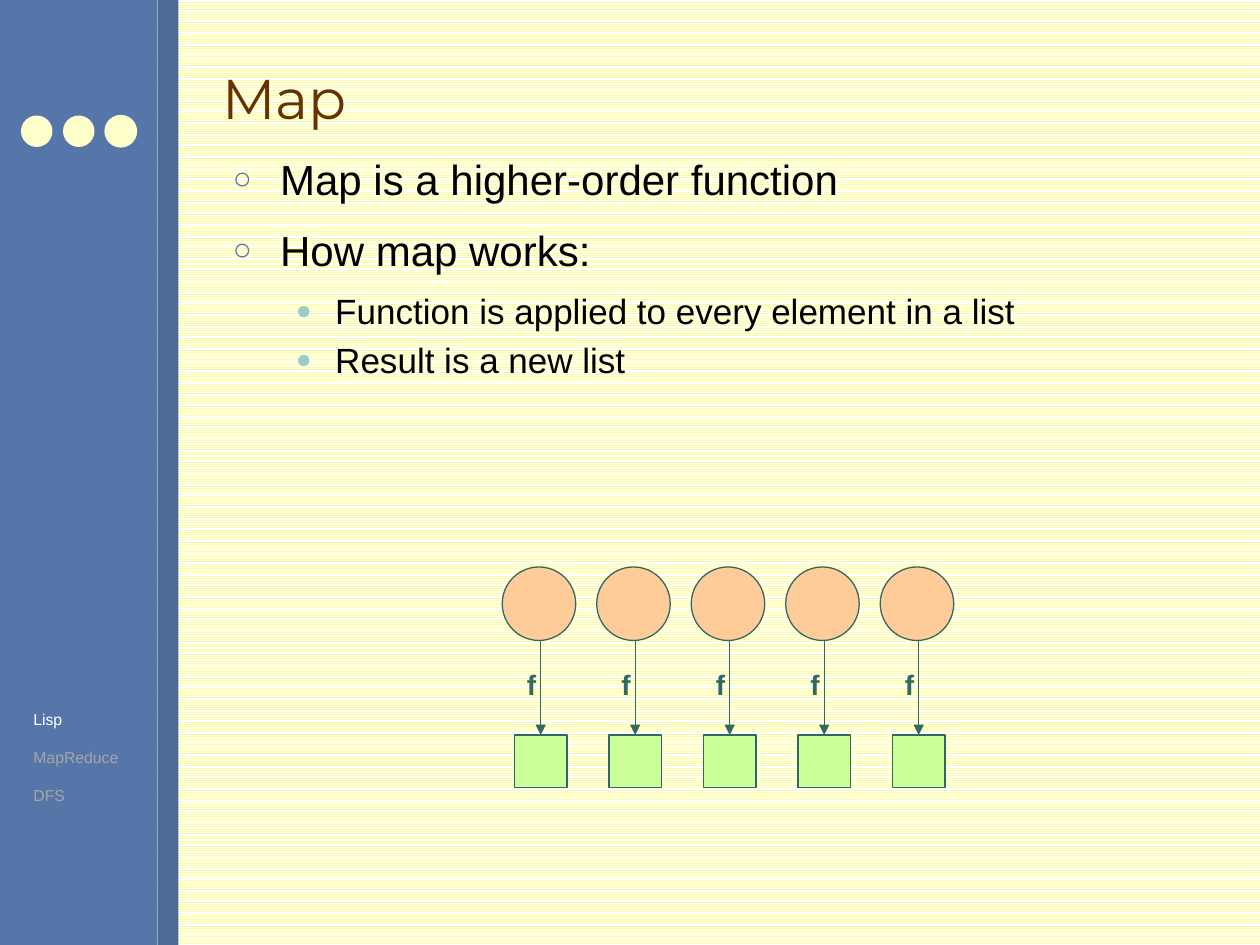
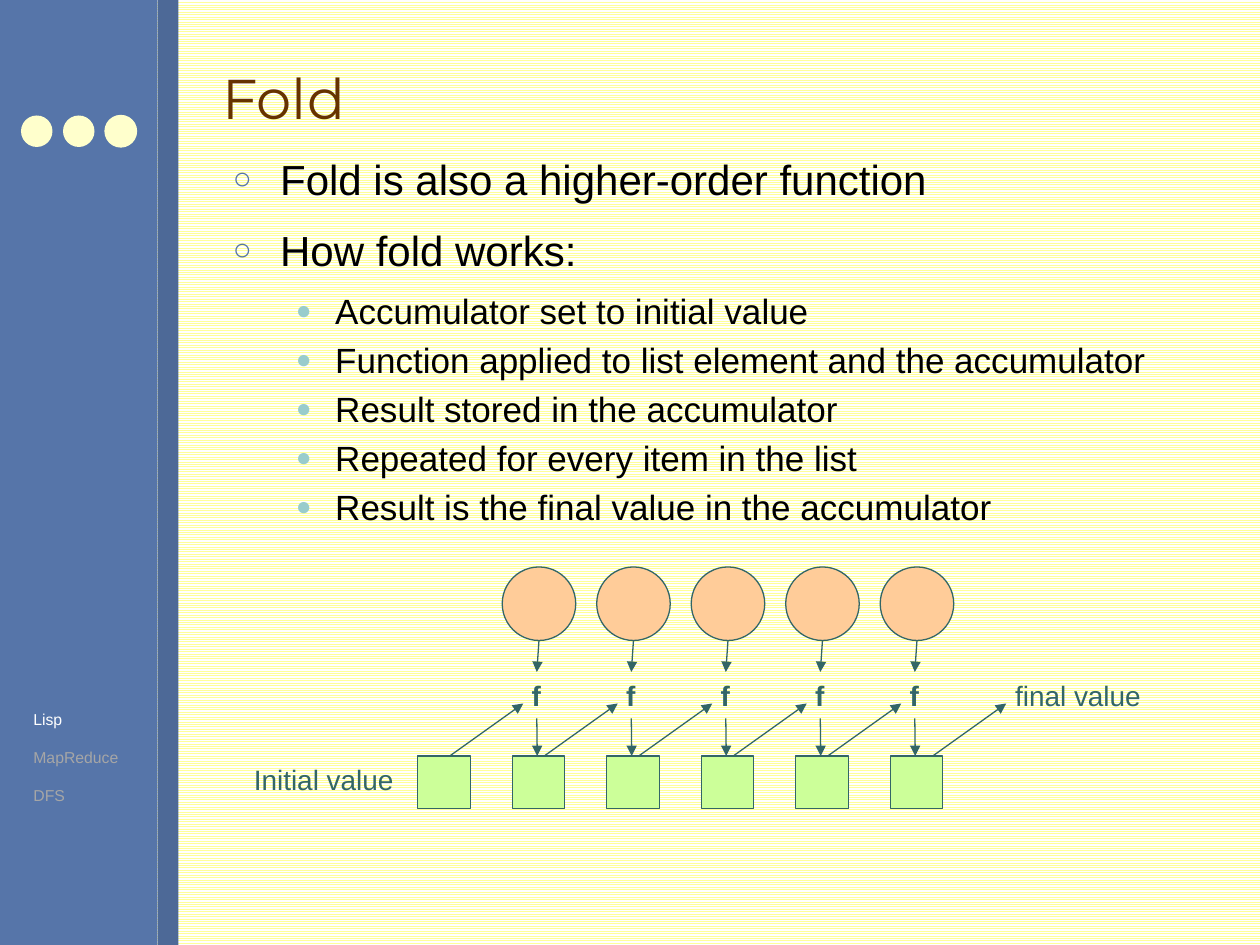
"""Builds two slides on the higher-order functions map and fold."""
from dataclasses import dataclass

from lxml.etree import SubElement
from pptx import Presentation
from pptx.dml.color import RGBColor
from pptx.enum.dml import MSO_PATTERN
from pptx.enum.shapes import MSO_CONNECTOR, MSO_SHAPE as Preset
from pptx.enum.text import MSO_ANCHOR
from pptx.oxml.ns import qn
from pptx.util import Pt

rgb = RGBColor.from_string


@dataclass(frozen=True)
class Theme:
    stripe = rgb("FFFF99")
    paper = rgb("FFFFFF")
    band = rgb("5675A9")
    band_edge = rgb("4D6997")
    dot = rgb("FFFFCC")
    title = rgb("663300")
    body = rgb("000000")
    ink = rgb("336666")
    element = rgb("FFCC99")
    value = rgb("CCFF99")
    active = rgb("FFFFFF")
    inactive = rgb("A6A6A6")
    title_font = "Montserrat"
    body_font = "Arial"
    title_size = 32
    label_size = 16
    section_size = 9
    hairline = 0.75
    bullet_percent = "75000"
    levels = (
        dict(size=24, margin=27, hang=27, gap=6, bullet="○", color="5675A9"),
        dict(size=20, margin=58.5, hang=22.5, gap=2, bullet="●", color="99CCCC"),
    )


SECTIONS = ("Lisp", "MapReduce", "DFS")
COLUMNS = range(5)
STEP = 54
CIRCLE_LEFT, CIRCLE_TOP, CIRCLE_SIZE = 287, 324, 42
SQUARE_SIZE = 30
LABEL_HEIGHT = 26.5


class Deck:
    def __init__(self, theme):
        self.theme = theme
        self.presentation = Presentation()
        self.presentation.slide_width = Pt(720)
        self.presentation.slide_height = Pt(540)
        self.slide = None

    def new_slide(self, title, points):
        theme = self.theme
        self.slide = self.presentation.slides.add_slide(
            self.presentation.slide_layouts[6])
        background = self.slide.background.fill
        background.patterned()
        background.pattern = MSO_PATTERN.LIGHT_HORIZONTAL
        background.fore_color.rgb = theme.stripe
        background.back_color.rgb = theme.paper

        self.shape(Preset.RECTANGLE, 0, 0, 90, 540, theme.band)
        self.shape(Preset.RECTANGLE, 90, 0, 12, 540, theme.band_edge)
        for index, outline in enumerate((None, None, theme.dot)):
            self.shape(Preset.OVAL, 12 + 24 * index, 66, 18, 18, theme.dot, outline)

        heading = self.text([title], 120, 15, 576, 81, theme.title_size,
                            theme.title, font=theme.title_font, wrap=True)
        heading.vertical_anchor = MSO_ANCHOR.MIDDLE
        self.bullets(points)
        self.sections(SECTIONS[0])

    def shape(self, preset, left, top, width, height, fill, outline=None):
        shape = self.slide.shapes.add_shape(
            preset, Pt(left), Pt(top), Pt(width), Pt(height))
        shape.shadow.inherit = False
        shape.fill.solid()
        shape.fill.fore_color.rgb = fill
        if outline is None:
            shape.line.fill.background()
        else:
            shape.line.color.rgb = outline
            shape.line.width = Pt(self.theme.hairline)

    def text(self, lines, left, top, width, height, size, color,
             bold=False, font=None, wrap=False):
        frame = self.slide.shapes.add_textbox(
            Pt(left), Pt(top), Pt(width), Pt(height)).text_frame
        frame.word_wrap = wrap
        frame.text = "\n".join(lines)
        for paragraph in frame.paragraphs:
            style = paragraph.runs[0].font
            style.name = font or self.theme.body_font
            style.size = Pt(size)
            style.bold = bold
            style.color.rgb = color
        return frame

    def bullets(self, points):
        levels = self.theme.levels
        frame = self.text([words for _, words in points], 126, 84, 570, 414,
                          levels[0]["size"], self.theme.body, wrap=True)
        for index, (paragraph, (level, _)) in enumerate(zip(frame.paragraphs, points)):
            look = levels[level]
            paragraph.level = level
            paragraph.runs[0].font.size = Pt(look["size"])
            paragraph.space_before = Pt(look["gap"] if index else 0)
            paragraph.space_after = Pt(look["gap"])
            properties = paragraph._p.get_or_add_pPr()
            properties.set("marL", str(Pt(look["margin"])))
            properties.set("indent", str(-Pt(look["hang"])))
            tint = SubElement(properties, qn("a:buClr"))
            SubElement(tint, qn("a:srgbClr"), val=look["color"])
            SubElement(properties, qn("a:buSzPct"), val=self.theme.bullet_percent)
            SubElement(properties, qn("a:buFont"), typeface=self.theme.body_font)
            SubElement(properties, qn("a:buChar"), char=look["bullet"])

    def sections(self, current):
        theme = self.theme
        frame = self.text(SECTIONS, 12, 402, 63, 62, theme.section_size, theme.inactive)
        for paragraph in frame.paragraphs:
            if paragraph.text == current:
                paragraph.runs[0].font.color.rgb = theme.active
            else:
                paragraph.space_before = Pt(10.8)

    def arrow(self, x1, y1, x2, y2):
        arrow = self.slide.shapes.add_connector(
            MSO_CONNECTOR.STRAIGHT, Pt(x1), Pt(y1), Pt(x2), Pt(y2))
        arrow.line.color.rgb = self.theme.ink
        arrow.line.width = Pt(self.theme.hairline)
        SubElement(arrow.line._get_or_add_ln(), qn("a:tailEnd"), type="triangle")
        SubElement(arrow._element.spPr, qn("a:effectLst"))

    def label(self, words, left, top, width, bold=False):
        self.text([words], left, top, width, LABEL_HEIGHT,
                  self.theme.label_size, self.theme.ink, bold)

    def list_elements(self):
        for column in COLUMNS:
            self.shape(Preset.OVAL, CIRCLE_LEFT + STEP * column, CIRCLE_TOP,
                       CIRCLE_SIZE, CIRCLE_SIZE, self.theme.element, self.theme.ink)

    def value(self, left, top):
        self.shape(Preset.RECTANGLE, left, top, SQUARE_SIZE, SQUARE_SIZE,
                   self.theme.value, self.theme.ink)


def add_map(deck):
    """Each list element passes through f into a new list."""
    deck.new_slide("Map", [
        (0, "Map is a higher-order function"),
        (0, "How map works:"),
        (1, "Function is applied to every element in a list"),
        (1, "Result is a new list"),
    ])
    for column in COLUMNS:
        left = 294 + STEP * column
        center = left + SQUARE_SIZE / 2
        deck.value(left, 420)
        deck.arrow(center, CIRCLE_TOP + CIRCLE_SIZE, center, 420)
        deck.label("f", left, 378, 20, bold=True)
    deck.list_elements()


def add_fold(deck):
    """Each list element and the accumulator pass through f in turn."""
    deck.new_slide("Fold", [
        (0, "Fold is also a higher-order function"),
        (0, "How fold works:"),
        (1, "Accumulator set to initial value"),
        (1, "Function applied to list element and the accumulator"),
        (1, "Result stored in the accumulator"),
        (1, "Repeated for every item in the list"),
        (1, "Result is the final value in the accumulator"),
    ])
    deck.list_elements()
    values_top, label_top, handover_top = 432, 384, 402
    for step in range(len(COLUMNS) + 1):
        deck.value(238.75 + STEP * step, values_top)
    for column in COLUMNS:
        shift = STEP * column
        deck.label("f", 296.75 + shift, label_top, 20, bold=True)
        deck.arrow(257 + shift, values_top, 299 + shift, handover_top)
        deck.arrow(308 + shift, CIRCLE_TOP + CIRCLE_SIZE, 306.75 + shift, label_top)
        deck.arrow(306.75 + shift, label_top + LABEL_HEIGHT, 307 + shift, values_top)
    deck.arrow(533, values_top, 575, handover_top)
    deck.label("final value", 573, label_top, 87)
    deck.label("Initial value", 138, values_top, 95)


def main():
    deck = Deck(Theme())
    add_map(deck)
    add_fold(deck)
    deck.presentation.save("out.pptx")


if __name__ == "__main__":
    main()
